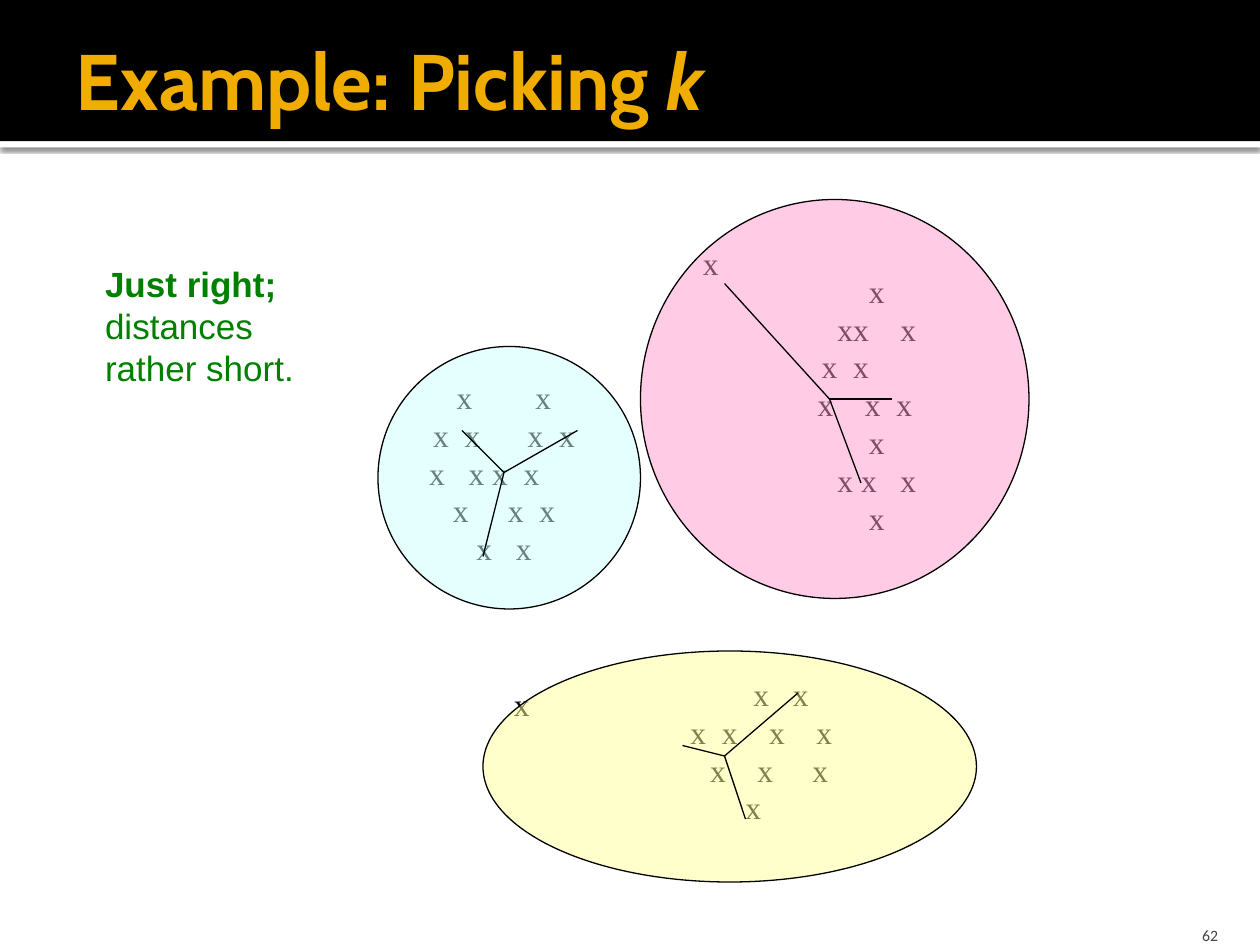
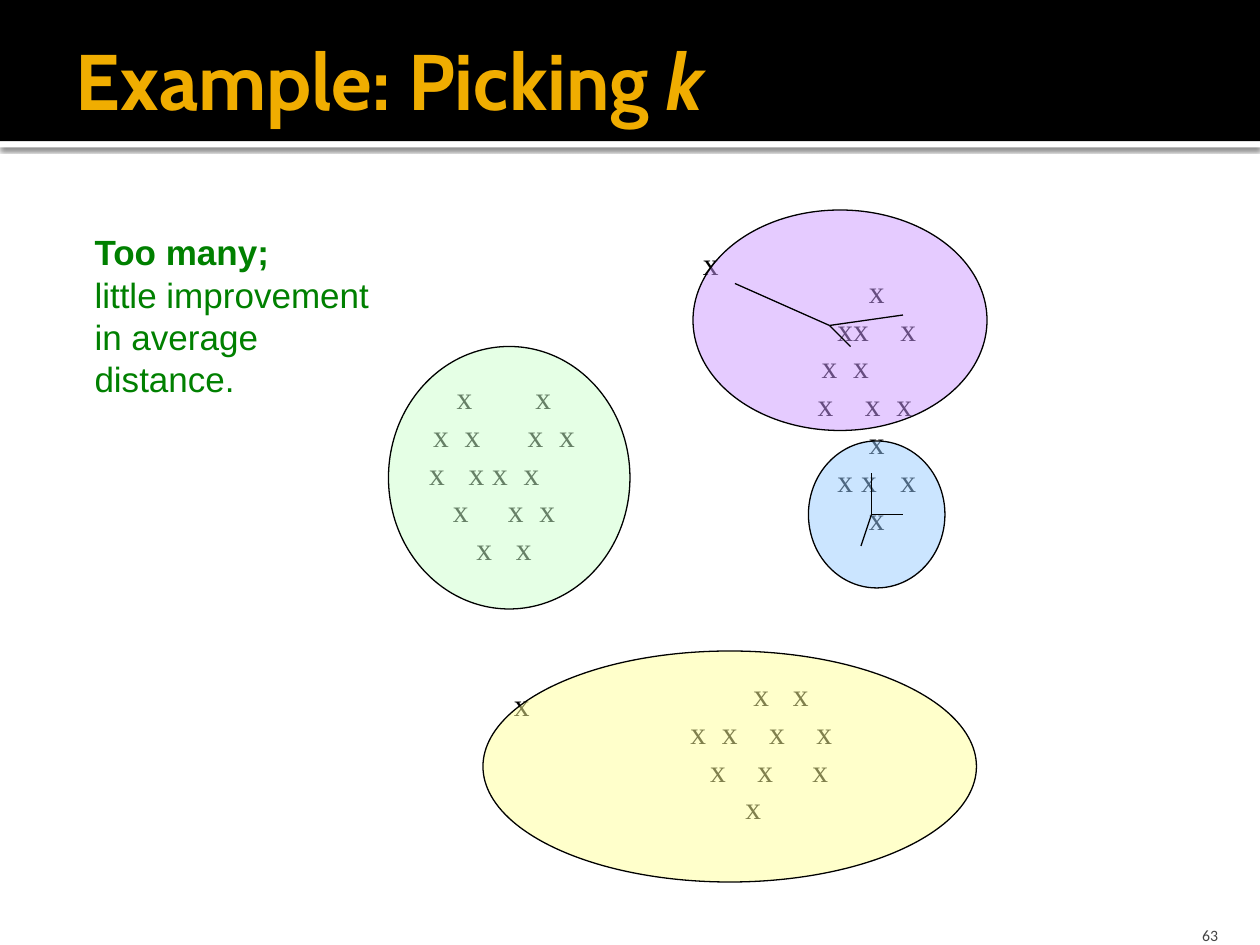
import dataclasses

import lxml.etree
import pptx
import pptx.dml.color
import pptx.enum.shapes
import pptx.enum.text
import pptx.oxml.ns
import pptx.util

COLUMNS, ROWS = 120, 90          # grid cells of a twelfth of an inch
ALIGN = pptx.enum.text.PP_ALIGN
ANCHOR = pptx.enum.text.MSO_ANCHOR
SHAPE = pptx.enum.shapes.MSO_SHAPE
tag = pptx.oxml.ns.qn


@dataclasses.dataclass(frozen=True)
class Theme:
    black: str = "000000"
    white: str = "FFFFFF"
    gold: str = "F0AD00"
    green: str = "008000"
    grey: str = "454545"
    title_font: str = "Cabin"
    label_font: str = "Arial"
    point_font: str = "Times New Roman"
    number_font: str = "Calibri"
    title_size: float = 45
    label_size: float = 20
    point_size: float = 18
    number_size: float = 9
    leading: float = 1.2
    line_width: float = 0.75
    fill_opacity: int = 50


def color(code):
    return pptx.dml.color.RGBColor.from_string(code)


class Board:
    """The deck's style and the slide being drawn."""

    def __init__(self, theme):
        self.theme = theme
        self.deck = pptx.Presentation()
        self.deck.slide_width = pptx.util.Inches(10)
        self.deck.slide_height = pptx.util.Inches(7.5)
        self.page = None

    def x(self, columns):
        return round(self.deck.slide_width * columns / COLUMNS)

    def y(self, rows):
        return round(self.deck.slide_height * rows / ROWS)

    def area(self, left, top, width, height):
        return self.x(left), self.y(top), self.x(width), self.y(height)

    def style(self, span, font, size, code, bold=False, italic=False):
        span.font.name = font
        span.font.size = pptx.util.Pt(size)
        span.font.color.rgb = color(code)
        span.font.bold = bold
        span.font.italic = italic

    # Shared parts of every slide
    def start(self, words, symbol, number):
        theme = self.theme
        self.page = self.deck.slides.add_slide(self.deck.slide_layouts[5])
        edge = self.band(13.44, 0.6, theme.white)
        self.add_shadow(edge)
        self.band(0, 13.44, theme.black)
        self.title(words, symbol)
        frame = self.text_box((106, 86, 10, 4), ANCHOR.BOTTOM)
        para = frame.paragraphs[0]
        para.text = str(number)
        para.alignment = ALIGN.RIGHT
        self.style(para.runs[0], theme.number_font, theme.number_size, theme.grey)

    def band(self, top, height, code):
        shape = self.page.shapes.add_shape(
            SHAPE.RECTANGLE, *self.area(0, top, COLUMNS, height))
        shape.shadow.inherit = False
        shape.fill.solid()
        shape.fill.fore_color.rgb = color(code)
        shape.line.fill.background()
        return shape

    def add_shadow(self, shape):
        effects = shape.element.spPr.find(tag("a:effectLst"))
        shadow = lxml.etree.SubElement(
            effects, tag("a:outerShdw"), blurRad=str(pptx.util.Pt(2.5)),
            dist=str(pptx.util.Pt(0.8)), dir="5400000", algn="t", rotWithShape="0")
        tint = lxml.etree.SubElement(shadow, tag("a:srgbClr"), val=self.theme.black)
        lxml.etree.SubElement(tint, tag("a:alpha"), val="60000")

    def title(self, words, symbol):
        theme = self.theme
        box = self.page.shapes.title
        box.element.getparent().append(box.element)  # in front of the bands
        box.left, box.top, box.width, box.height = self.area(6, 2, 108, 11)
        frame = box.text_frame
        frame.auto_size = pptx.enum.text.MSO_AUTO_SIZE.NONE
        frame.vertical_anchor = ANCHOR.MIDDLE
        frame.margin_left = pptx.util.Inches(0.1)
        frame.margin_right = pptx.util.Inches(0.05)
        para = frame.paragraphs[0]
        para.text = words
        para.alignment = ALIGN.LEFT
        para.add_run().text = symbol
        for span in para.runs:
            self.style(span, theme.title_font, theme.title_size, theme.gold,
                       bold=True, italic=span.text == symbol)

    # Text
    def text_box(self, cells, anchor=ANCHOR.TOP):
        frame = self.page.shapes.add_textbox(*self.area(*cells)).text_frame
        frame.word_wrap = True
        frame.vertical_anchor = anchor
        frame.margin_left = frame.margin_right = 0
        frame.margin_top = frame.margin_bottom = 0
        return frame

    def label(self, left, top, lines):
        theme = self.theme
        frame = self.text_box((left, top, 28, 4 * len(lines)))
        frame.text = "\n".join(lines)
        for index, para in enumerate(frame.paragraphs):
            para.line_spacing = pptx.util.Pt(theme.label_size * theme.leading)
            self.style(para.runs[0], theme.label_font, theme.label_size,
                       theme.green, bold=index == 0)

    def points(self, center_x, center_y, patterns):
        """Centred rows of points: a dot is a quarter em, an x is half an em."""
        theme = self.theme
        unit = theme.point_size / 4
        lengths = [len(row) + row.count("x") for row in patterns]
        widest = max(lengths) + 2
        leading = theme.point_size * theme.leading
        width, height = widest * unit / 6, len(patterns) * leading / 6
        frame = self.text_box((center_x - width / 2, center_y - height / 2,
                               width, height), ANCHOR.MIDDLE)
        frame.text = "\n".join(self.tabbed(row) for row in patterns)
        for para, row, length in zip(frame.paragraphs, patterns, lengths):
            tabs = lxml.etree.SubElement(para._p.get_or_add_pPr(), tag("a:tabLst"))
            place = (widest - length) / 2
            previous = "."
            for mark in row:
                if mark == "x" and previous == ".":
                    lxml.etree.SubElement(tabs, tag("a:tab"), algn="l",
                                          pos=str(pptx.util.Pt(place * unit)))
                place += 2 if mark == "x" else 1
                previous = mark
            para.line_spacing = pptx.util.Pt(leading)
            self.style(para.runs[0], theme.point_font, theme.point_size, theme.black)

    @staticmethod
    def tabbed(row):
        return "".join("\t" + group for group in row.split(".") if group)

    # Clusters and distances
    def cluster(self, left, top, width, height, code):
        theme = self.theme
        shape = self.page.shapes.add_shape(
            SHAPE.OVAL, *self.area(left, top, width, height))
        shape.shadow.inherit = False
        shape.fill.solid()
        shape.fill.fore_color.rgb = color(code)
        tint = shape.element.spPr.find(tag("a:solidFill"))[0]
        lxml.etree.SubElement(tint, tag("a:alpha"),
                              val=str(theme.fill_opacity * 1000))
        self.outline(shape.line)

    def outline(self, line):
        line.color.rgb = color(self.theme.black)
        line.width = pptx.util.Pt(self.theme.line_width)

    def distances(self, center, ends):
        for end in ends:
            line = self.page.shapes.add_connector(
                pptx.enum.shapes.MSO_CONNECTOR.STRAIGHT,
                self.x(center[0]), self.y(center[1]), self.x(end[0]), self.y(end[1]))
            self.outline(line.line)
            lxml.etree.SubElement(line.element.spPr, tag("a:effectLst"))


# The data points: centre column, centre row, rows of points
POINTS = [
    (48, 45, ["x........x", "x..x......x..x", "x...x.x..x.....",
              "x.....x..x", "x...x"]),
    (83.5, 38.5, ["x", "xx....x", "x..x........", "x....x..x...", "x",
                  "x.x...x", "x"]),
    (72.5, 71.5, [".....x...x", "x..x....x....x", "..x....x.....x", "x.."]),
    (67.7, 25, ["x"]),
    (49.7, 67, ["x"]),
]
YELLOW_CLUSTER = (46, 62, 47, 22, "FFFF99")

# Each slide: number, label, clusters, distances from a centre
SLIDES = [
    dict(number=62,
         label=(10, 25, ["Just right;", "distances", "rather short."]),
         clusters=[YELLOW_CLUSTER, (36, 33, 25, 25, "CCFFFF"),
                   (61, 19, 37, 38, "FF99CC")],
         distances=[((48, 45), [(44, 41), (55, 41), (46, 53)]),
                    ((69, 72), [(65, 71), (76, 66), (71, 78)]),
                    ((79, 38), [(69, 27), (85, 38), (82, 46)])]),
    dict(number=63,
         label=(9, 22, ["Too many;", "little improvement", "in average",
                        "distance."]),
         clusters=[YELLOW_CLUSTER, (37, 33, 23, 25, "CCFFCC"),
                   (66, 20, 28, 21, "CC99FF"), (77, 42, 13, 14, "99CCFF")],
         distances=[((79, 31), [(70, 27), (86, 30), (81, 33)]),
                    ((83, 49), [(83, 45), (86, 49), (82, 52)])]),
]


def main():
    board = Board(Theme())
    for content in SLIDES:
        board.start("Example: Picking ", "k", content["number"])
        for group in POINTS:
            board.points(*group)
        for oval in content["clusters"]:
            board.cluster(*oval)
        for center, ends in content["distances"]:
            board.distances(center, ends)
        board.label(*content["label"])
    board.deck.save("out.pptx")


if __name__ == "__main__":
    main()
